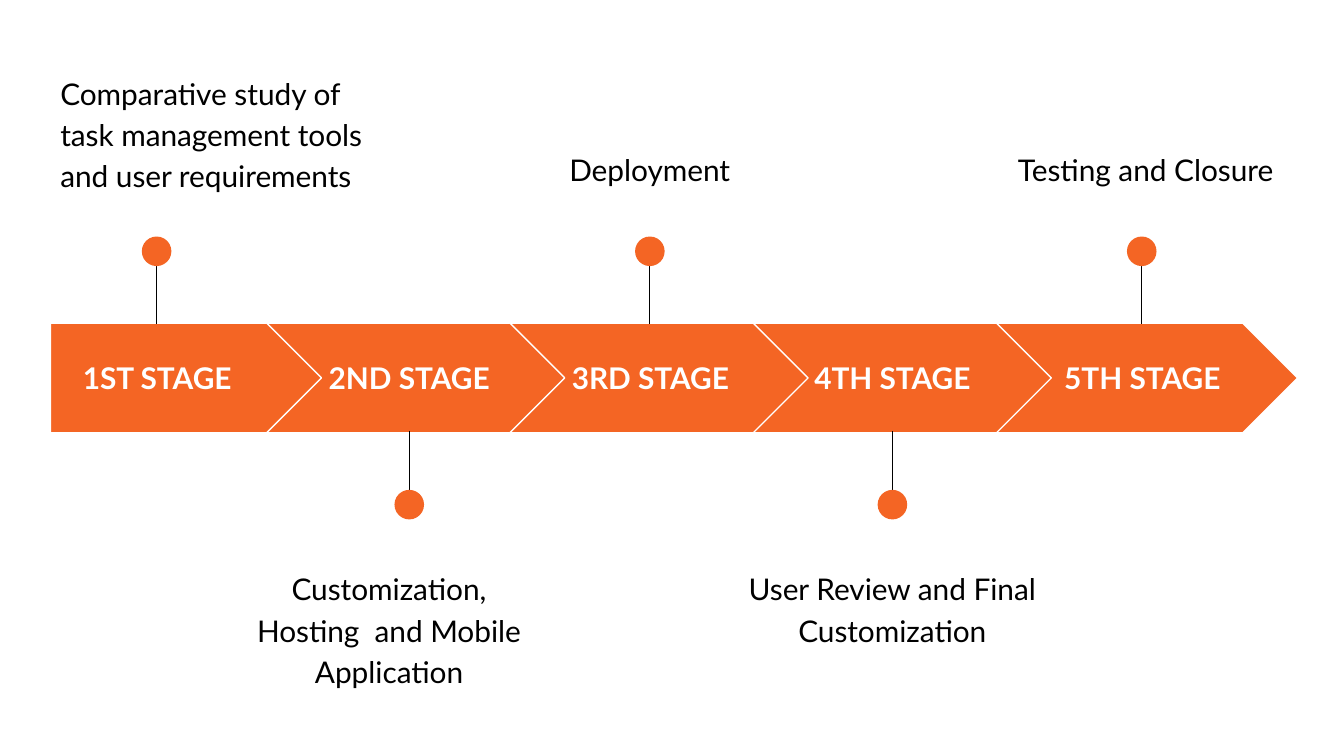
from dataclasses import dataclass

import pptx
import pptx.dml.color
import pptx.enum.shapes
import pptx.enum.text
import pptx.oxml.ns
import pptx.slide
import pptx.util
from lxml import etree

SHAPE = pptx.enum.shapes.MSO_SHAPE
ANCHOR = pptx.enum.text.MSO_ANCHOR
ALIGN = pptx.enum.text.PP_ALIGN
RGB = pptx.dml.color.RGBColor
Pt = pptx.util.Pt


@dataclass(frozen=True)
class Theme:
    accent: RGB = RGB(0xF4, 0x65, 0x24)
    light: RGB = RGB(0xFF, 0xFF, 0xFF)
    dark: RGB = RGB(0x00, 0x00, 0x00)
    font: str = "Lato"
    size: int = 16
    stroke: float = 0.75


@dataclass(frozen=True)
class Box:
    x: int
    y: int
    w: int
    h: int

    def emu(self) -> tuple[int, ...]:
        return tuple(px(v) for v in (self.x, self.y, self.w, self.h))


@dataclass(frozen=True)
class Stage:
    label: str
    label_x: int
    label_w: int
    marker_x: int
    caption: str
    caption_x: int
    caption_y: int
    align: ALIGN = ALIGN.CENTER


THEME = Theme()
PX_PER_INCH = 200
SLIDE_W, SLIDE_H = 2000, 1125
BAR_Y, BAR_H = 481, 163
FIRST_X, FIRST_W = 75, 409
CHEVRON_X, CHEVRON_W, PITCH = 397, 448, 362
LABEL_Y, LABEL_H = 511, 102
CAPTION_W, CAPTION_H = 490, 198
DOT = 44
INSET = 20

STAGES = [
    Stage("1ST STAGE", 75, 318, 233,
          "Comparative study of task management tools and user requirements",
          70, 84, ALIGN.LEFT),
    Stage("2ND STAGE", 465, 288, 609,
          "Customization, Hosting  and Mobile Application", 334, 822),
    Stage("3RD STAGE", 824, 288, 967, "Deployment", 722, 198),
    Stage("4TH STAGE", 1184, 288, 1328,
          "User Review and Final Customization", 1083, 822),
    Stage("5TH STAGE", 1556, 288, 1699, "Testing and Closure",
          1495, 198, ALIGN.LEFT),
]


def px(n: int) -> int:
    return n * 914400 // PX_PER_INCH


def add_bar(s: pptx.slide.Slide, i: int) -> None:
    if i == 0:
        kind, box = SHAPE.PENTAGON, Box(FIRST_X, BAR_Y, FIRST_W, BAR_H)
    else:
        x = CHEVRON_X + (i - 1) * PITCH
        kind, box = SHAPE.CHEVRON, Box(x, BAR_Y, CHEVRON_W, BAR_H)
    sp = s.shapes.add_shape(kind, *box.emu())
    sp.adjustments[0] = 0.5
    sp.shadow.inherit = False
    sp.fill.solid()
    sp.fill.fore_color.rgb = THEME.accent
    sp.line.color.rgb = THEME.light
    sp.line.width = Pt(THEME.stroke)


def add_text(s: pptx.slide.Slide, box: Box, text: str, color: RGB,
             align: ALIGN, anchor: ANCHOR, bold: bool = False,
             line_spacing: float = 1.0, space_after: int = 0) -> None:
    tf = s.shapes.add_textbox(*box.emu()).text_frame
    tf.word_wrap = True
    tf.vertical_anchor = anchor
    tf.margin_left = tf.margin_right = px(INSET)
    tf.margin_top = tf.margin_bottom = px(INSET)
    p = tf.paragraphs[0]
    p.alignment = align
    p.line_spacing = line_spacing
    p.space_after = Pt(space_after)
    r = p.add_run()
    r.text = text
    r.font.name = THEME.font
    r.font.size = Pt(THEME.size)
    r.font.bold = bold
    r.font.color.rgb = color


def add_marker(s: pptx.slide.Slide, x: int, above: bool) -> None:
    start, end, dot_y = (360, 482, 352) if above else (764, 642, 729)
    grp = s.shapes.add_group_shape()
    cx = grp.shapes.add_connector(pptx.enum.shapes.MSO_CONNECTOR.STRAIGHT,
                                  px(x), px(start), px(x), px(end))
    cx.line.color.rgb = THEME.dark
    cx.line.width = Pt(THEME.stroke)
    etree.SubElement(cx._element.spPr, pptx.oxml.ns.qn("a:effectLst"))
    box = Box(x - DOT // 2, dot_y, DOT, DOT)
    sp = grp.shapes.add_shape(SHAPE.OVAL, *box.emu())
    sp.shadow.inherit = False
    sp.fill.solid()
    sp.fill.fore_color.rgb = THEME.accent
    sp.line.fill.background()


def add_stage(s: pptx.slide.Slide, i: int, stage: Stage) -> None:
    add_bar(s, i)
    add_text(s, Box(stage.label_x, LABEL_Y, stage.label_w, LABEL_H),
             stage.label, THEME.light, ALIGN.CENTER, ANCHOR.MIDDLE, bold=True)
    add_marker(s, stage.marker_x, above=i % 2 == 0)
    add_text(s, Box(stage.caption_x, stage.caption_y, CAPTION_W, CAPTION_H),
             stage.caption, THEME.dark, stage.align, ANCHOR.TOP,
             line_spacing=1.15, space_after=16)


def main() -> None:
    prs = pptx.Presentation()
    prs.slide_width, prs.slide_height = px(SLIDE_W), px(SLIDE_H)
    s = prs.slides.add_slide(prs.slide_layouts[6])
    s.background.fill.solid()
    s.background.fill.fore_color.rgb = THEME.light
    for i, stage in enumerate(STAGES):
        add_stage(s, i, stage)
    prs.save("out.pptx")


if __name__ == "__main__":
    main()
